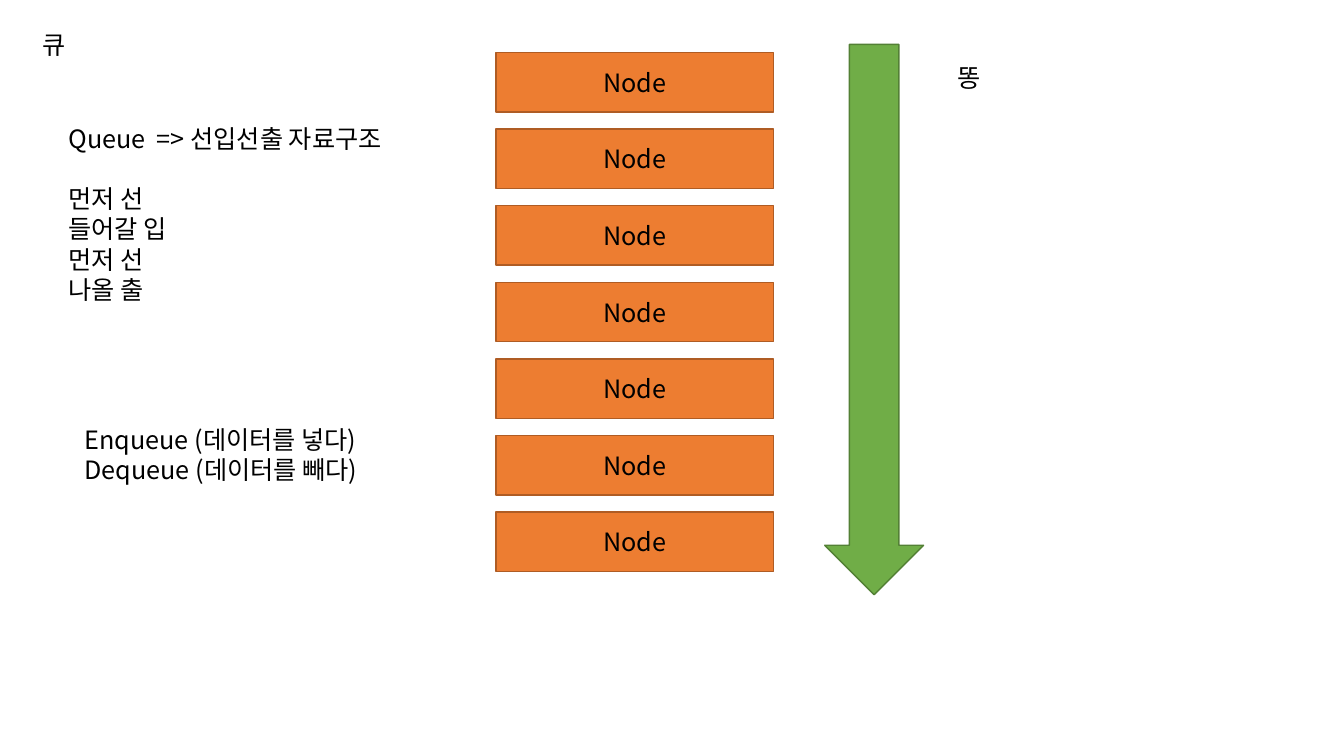
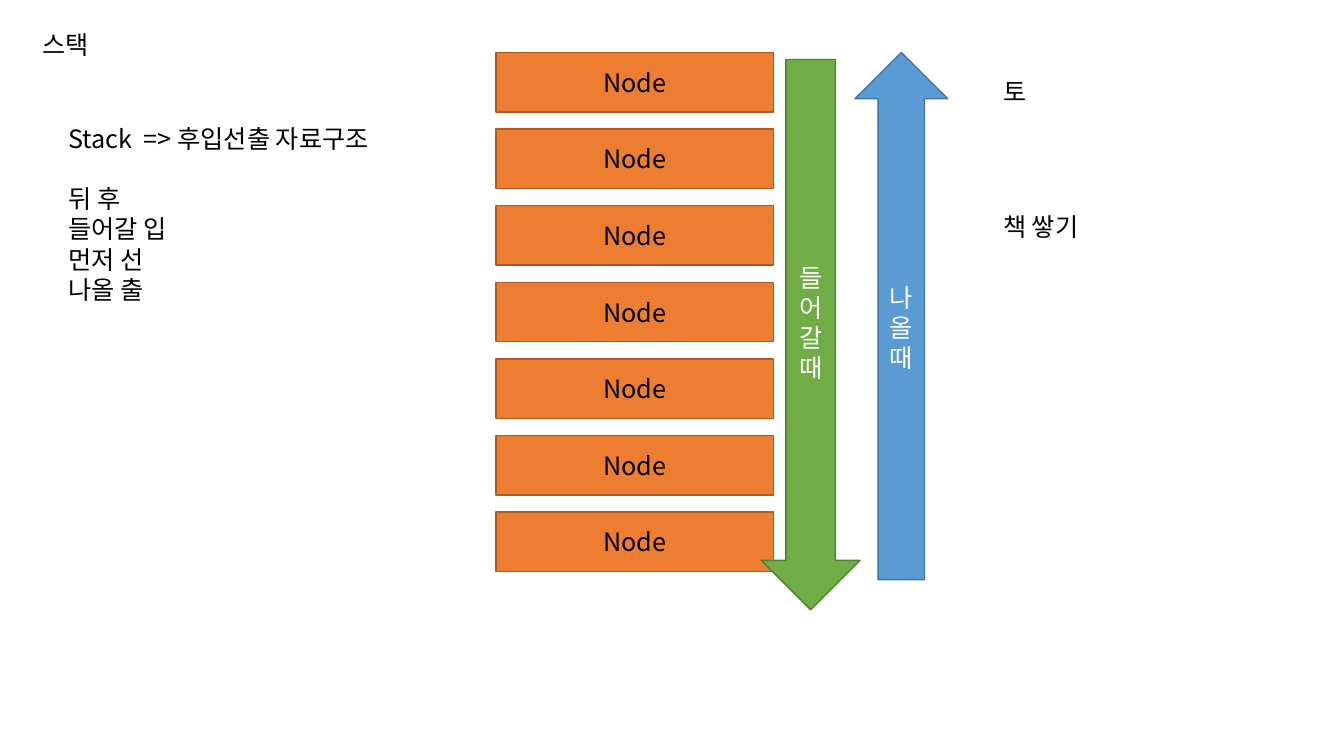
from dataclasses import dataclass

import pptx
import pptx.dml.color
import pptx.enum.shapes
import pptx.enum.text
import pptx.oxml
import pptx.oxml.ns
import pptx.presentation
import pptx.shapes.autoshape
import pptx.slide
import pptx.text.text
import pptx.util

Inches = pptx.util.Inches
Pt = pptx.util.Pt
Kind = pptx.enum.shapes.MSO_SHAPE
Align = pptx.enum.text.PP_ALIGN
Anchor = pptx.enum.text.MSO_ANCHOR
Fit = pptx.enum.text.MSO_AUTO_SIZE


@dataclass(frozen=True)
class Theme:
    font: str = "Noto Sans CJK KR"
    size: float = 18
    gap: float = 21.7
    line: float = 1
    ink: str = "000000"
    light: str = "FFFFFF"
    orange: tuple[str, str] = ("ED7D31", "AF5C24")
    green: tuple[str, str] = ("70AD47", "538035")
    blue: tuple[str, str] = ("5B9BD5", "43739E")


THEME = Theme()


@dataclass(frozen=True)
class Box:
    left: float
    top: float
    width: float
    height: float


@dataclass(frozen=True)
class Note:
    box: Box
    text: str
    head: bool = False


@dataclass(frozen=True)
class Arrow:
    box: Box
    kind: Kind
    paint: tuple[str, str]
    text: str = ""


@dataclass(frozen=True)
class Page:
    title: Note
    notes: list[Note]
    arrows: list[Arrow]


NODES = [Box(4.92, 0.52 + 0.76 * row, 2.75, 0.59) for row in range(7)]

PAGES = [
    Page(
        Note(Box(0.32, 0.24, 0.45, 0.4), "큐"),
        [
            Note(
                Box(0.58, 1.17, 3.63, 2.52),
                "Queue  => 선입선출 자료구조\n먼저 선\n들어갈 입\n먼저 선\n나올 출",
                head=True,
            ),
            Note(
                Box(0.74, 4.16, 3.13, 0.71),
                "Enqueue (데이터를 넣다)\nDequeue (데이터를 빼다)",
            ),
            Note(Box(9.4, 0.57, 0.45, 0.4), "똥"),
        ],
        [Arrow(Box(8.18, 0.44, 0.98, 5.46), Kind.DOWN_ARROW, THEME.green)],
    ),
    Page(
        Note(Box(0.32, 0.24, 0.7, 0.4), "스택"),
        [
            Note(
                Box(0.58, 1.17, 3.52, 2.52),
                "Stack  => 후입선출 자료구조\n뒤 후\n들어갈 입\n먼저 선\n나올 출",
                head=True,
            ),
            Note(Box(9.85, 0.71, 0.45, 0.4), "토"),
            Note(Box(9.85, 2.05, 1.03, 0.4), "책 쌓기"),
        ],
        [
            Arrow(Box(7.55, 0.59, 0.98, 5.46), Kind.DOWN_ARROW, THEME.green, "들어갈때"),
            Arrow(Box(8.48, 0.52, 0.92, 5.23), Kind.UP_ARROW, THEME.blue, "나올때"),
        ],
    ),
]


def rgb(code: str) -> pptx.dml.color.RGBColor:
    return pptx.dml.color.RGBColor.from_string(code)


def place(box: Box) -> tuple[int, int, int, int]:
    return Inches(box.left), Inches(box.top), Inches(box.width), Inches(box.height)


def write(frame: pptx.text.text.TextFrame, text: str, ink: str, align: Align) -> None:
    frame.text = text
    for para in frame.paragraphs:
        para.alignment = align
        for run in para.runs:
            font = run.font
            font.name = THEME.font
            font.size = Pt(THEME.size)
            font.color.rgb = rgb(ink)
            face = pptx.oxml.parse_xml(
                f'<a:ea {pptx.oxml.ns.nsdecls("a")} typeface="{THEME.font}"/>'
            )
            run._r.get_or_add_rPr().append(face)


def add_title(slide: pptx.slide.Slide, note: Note) -> None:
    title = slide.shapes.title
    title.left, title.top, title.width, title.height = place(note.box)
    frame = title.text_frame
    frame.word_wrap = False
    frame.auto_size = Fit.NONE
    frame.vertical_anchor = Anchor.TOP
    write(frame, note.text, THEME.ink, Align.LEFT)


def add_note(slide: pptx.slide.Slide, note: Note) -> None:
    frame = slide.shapes.add_textbox(*place(note.box)).text_frame
    frame.word_wrap = False
    frame.auto_size = Fit.SHAPE_TO_FIT_TEXT
    write(frame, note.text, THEME.ink, Align.LEFT)
    if note.head:
        frame.paragraphs[1].space_before = Pt(THEME.gap)


def add_shape(
    slide: pptx.slide.Slide, kind: Kind, box: Box, paint: tuple[str, str], text: str, ink: str
) -> None:
    shape = slide.shapes.add_shape(kind, *place(box))
    fill, edge = paint
    shape.shadow.inherit = False
    shape.fill.solid()
    shape.fill.fore_color.rgb = rgb(fill)
    shape.line.color.rgb = rgb(edge)
    shape.line.width = Pt(THEME.line)
    if text:
        shape.text_frame.word_wrap = True
        shape.text_frame.vertical_anchor = Anchor.MIDDLE
        write(shape.text_frame, text, ink, Align.CENTER)


def add_page(deck: pptx.presentation.Presentation, page: Page) -> None:
    slide = deck.slides.add_slide(deck.slide_layouts.get_by_name("Title Only"))
    add_title(slide, page.title)
    for note in page.notes:
        add_note(slide, note)
    for box in NODES:
        add_shape(slide, Kind.RECTANGLE, box, THEME.orange, "Node", THEME.ink)
    for arrow in page.arrows:
        add_shape(slide, arrow.kind, arrow.box, arrow.paint, arrow.text, THEME.light)


def main() -> None:
    deck = pptx.Presentation()
    deck.slide_width = Inches(13.33)
    deck.slide_height = Inches(7.5)
    for page in PAGES:
        add_page(deck, page)
    deck.save("out.pptx")


if __name__ == "__main__":
    main()
